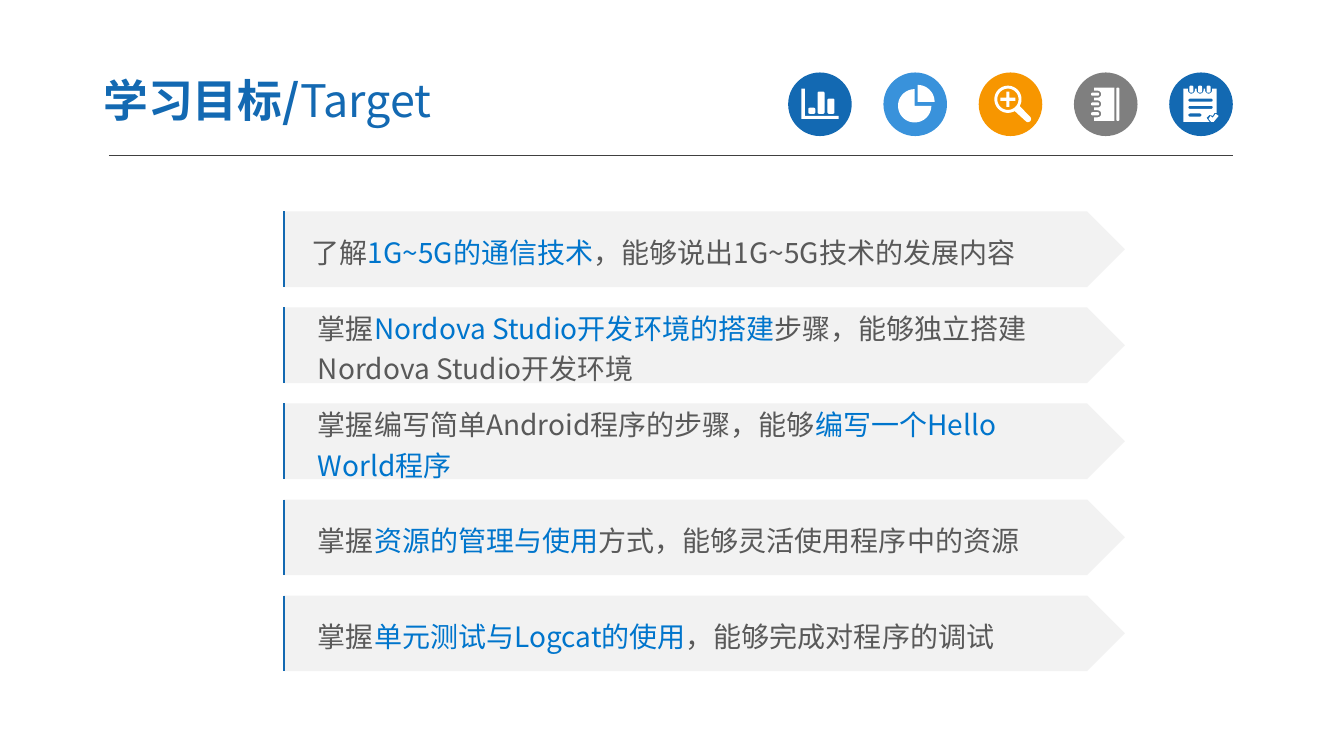
from math import cos, radians, sin

from lxml import etree
from pptx import Presentation
from pptx.dml.color import RGBColor
from pptx.enum.shapes import MSO_CONNECTOR, MSO_SHAPE
from pptx.enum.text import MSO_ANCHOR, MSO_AUTO_SIZE, PP_ALIGN
from pptx.oxml.ns import qn
from pptx.util import Pt

STRAIGHT = MSO_CONNECTOR.STRAIGHT
ELLIPSE = MSO_SHAPE.OVAL
PENTAGON = MSO_SHAPE.PENTAGON
MIDDLE = MSO_ANCHOR.MIDDLE
LEFT = PP_ALIGN.LEFT
NO_AUTOFIT = MSO_AUTO_SIZE.NONE

FONT = "Noto Sans CJK SC"
COLORS = {
    "blue": "1369B2", "sky": "3992DB", "orange": "F79600", "gray": "7F7F7F",
    "white": "FFFFFF", "rule": "404040", "banner": "F2F2F2",
    "text": "595959", "accent": "0075CC",
}
GOALS = [
    [[("了解", "text"), ("1G~5G的通信技术", "accent"), ("，能够说出1G~5G技术的发展内容", "text")]],
    [[("掌握", "text"), ("Nordova Studio开发环境的搭建", "accent"), ("步骤，能够独立搭建", "text")],
     [("Nordova Studio开发环境", "text")]],
    [[("掌握编写简单Android程序的步骤，能够", "text"), ("编写一个Hello", "accent")],
     [("World程序", "accent")]],
    [[("掌握", "text"), ("资源的管理与使用", "accent"), ("方式，能够灵活使用程序中的资源", "text")]],
    [[("掌握", "text"), ("单元测试与Logcat的使用", "accent"), ("，能够完成对程序的调试", "text")]],
]


def rgb(name):
    return RGBColor.from_string(COLORS[name])


def arc(x, y, radius, start, end, steps=24):
    angles = [radians(start + (end - start) * i / steps) for i in range(steps + 1)]
    return [(x + radius * cos(angle), y + radius * sin(angle)) for angle in angles]


def rounded(left, top, right, bottom, radius=1):
    corners = [(right - radius, bottom - radius), (left + radius, bottom - radius),
               (left + radius, top + radius), (right - radius, top + radius)]
    return [point for i, (x, y) in enumerate(corners)
            for point in arc(x, y, radius, 90 * i, 90 * i + 90, 6)]


def bar_chart_icon():
    axes = [(9.4, 11.5), (12, 11.5), (12, 31), (36, 31), (36, 33.1), (9.4, 33.1)]
    bars = [(14.4, 25.2), (21, 13.7), (28.1, 18.7)]
    return [axes] + [rounded(left, top, left + 5, 29.5) for left, top in bars]


def pie_icon():
    return [[(24.5, 20.9)] + arc(24.5, 20.9, 12, -90, 0),
            [(22.3, 23.8)] + arc(22.3, 23.8, 11.9, 0, 270, 48)]


def magnifier_icon():
    x, y, arm, half = 20.9, 19.1, 5.4, 1.1
    outline = arc(x, y, 9.7, 60, 390, 48) + arc(35.2, 33.2, 2.2, -45, 135)
    plus = [(-half, -arm), (half, -arm), (half, -half), (arm, -half),
            (arm, half), (half, half), (half, arm), (-half, arm),
            (-half, half), (-arm, half), (-arm, -half), (-half, -half)]
    return [outline, arc(x, y, 7.6, 0, 360, 48), [(x + dx, y + dy) for dx, dy in plus]]


def notebook_icon():
    rings = (29.5, 22.5, 15.5)
    cover = [(28.8, 10.8), (28.8, 34.6), (14.4, 34.6)]
    for y in rings:
        cover += [(14.4, y + 2.5)] + arc(16.9, y, 2.5, 90, -90) + [(14.4, y - 2.5)]
    cover.append((14.4, 10.8))
    return [cover, rounded(30.2, 10.8, 32.4, 34.6)] + [
        rounded(12.2, y - 1.1, 18, y + 1.1) for y in rings]


def checklist_icon():
    rings = (15.8, 22, 28.1)
    sheet = [(10.1, 11.5)]
    for x in rings:
        sheet += [(x - 2.5, 11.5)] + arc(x, 12.6, 2.5, 180, 0) + [(x + 2.5, 11.5)]
    sheet += [(33.8, 11.5), (33.8, 28.8), (32.4, 28.8), (31, 31), (28.8, 30.2),
              (26.6, 32.4), (28.8, 35.3), (10.1, 35.3)]
    check = [(28.1, 33.1), (29.5, 31), (31, 32.4), (33.1, 29.5),
             (35.3, 31), (31.7, 35.3), (29.9, 35.3)]
    lines = [(18.7, 31), (23.8, 31), (29.3, 23)]
    return ([sheet, check] + [rounded(x - 1.4, 9.4, x + 1.4, 14.4) for x in rings]
            + [rounded(13.7, top, right, top + 2.2) for top, right in lines])


def paint(shape, color):
    shape.shadow.inherit = False
    shape.fill.solid()
    shape.fill.fore_color.rgb = rgb(color)
    shape.line.fill.background()


def add_line(page, start, end, color, width):
    line = page.shapes.add_connector(STRAIGHT, *[Pt(value) for value in start + end])
    line.line.color.rgb = rgb(color)
    line.line.width = Pt(width)
    etree.SubElement(line._element.spPr, qn("a:effectLst"))


def add_icon(page, left, top, color, contours):
    disc = page.shapes.add_shape(ELLIPSE, Pt(left), Pt(top), Pt(45.4), Pt(45.4))
    paint(disc, color)
    placed = [[(Pt(left + x), Pt(top + y)) for x, y in contour] for contour in contours]
    builder = page.shapes.build_freeform(*placed[0][0], scale=1.0)
    for i, contour in enumerate(placed):
        if i:
            builder.move_to(*contour[0])
        builder.add_line_segments(contour[1:], close=True)
    paint(builder.convert_to_shape(), "white")


def fill_paragraph(para, size, spans):
    para.alignment = LEFT
    para.font.size = Pt(size)
    para.font.name = FONT
    defaults = para._p.pPr.find(qn("a:defRPr"))
    etree.SubElement(defaults, qn("a:ea")).set("typeface", FONT)
    for text, color in spans:
        span = para.add_run()
        span.text = text
        span.font.color.rgb = rgb(color)


def add_title(page):
    title = page.shapes.title
    title.left, title.top, title.width, title.height = Pt(64.4), Pt(45.4), Pt(375.8), Pt(51.8)
    frame = title.text_frame
    frame.auto_size = NO_AUTOFIT
    frame.vertical_anchor = MIDDLE
    frame.margin_left = frame.margin_right = Pt(9.4)
    frame.margin_top = frame.margin_bottom = Pt(5)
    para = frame.paragraphs[0]
    fill_paragraph(para, 32, [("学习目标/", "blue"), ("Target", "blue")])
    para.runs[0].font.bold = True
    para.runs[1].font.bold = False


def add_goal(page, top, indent, lines):
    banner = page.shapes.add_shape(PENTAGON, Pt(202.3), Pt(top), Pt(601.2), Pt(54))
    paint(banner, "banner")
    frame = banner.text_frame
    frame.word_wrap = True
    frame.vertical_anchor = MIDDLE
    frame.margin_left = Pt(indent)
    for i, spans in enumerate(lines):
        para = frame.add_paragraph() if i else frame.paragraphs[0]
        para.line_spacing = 1.2
        fill_paragraph(para, 20, spans)
    add_line(page, (203, top), (203, top + 54), "blue", 1.5)


def main():
    deck = Presentation()
    deck.slide_width, deck.slide_height = Pt(960), Pt(540)
    page = deck.slides.add_slide(deck.slide_layouts[5])
    add_title(page)
    add_line(page, (77.8, 111.3), (880.6, 111.3), "rule", 0.75)
    icons = [("blue", bar_chart_icon()), ("sky", pie_icon()), ("orange", magnifier_icon()),
             ("gray", notebook_icon()), ("blue", checklist_icon())]
    for i, (color, contours) in enumerate(icons):
        add_icon(page, 563 + 68.05 * i, 51.8, color, contours)
    for i, lines in enumerate(GOALS):
        add_goal(page, 151 + 68.6 * i, 24.8 if i else 20.3, lines)
    deck.save("out.pptx")


if __name__ == "__main__":
    main()
